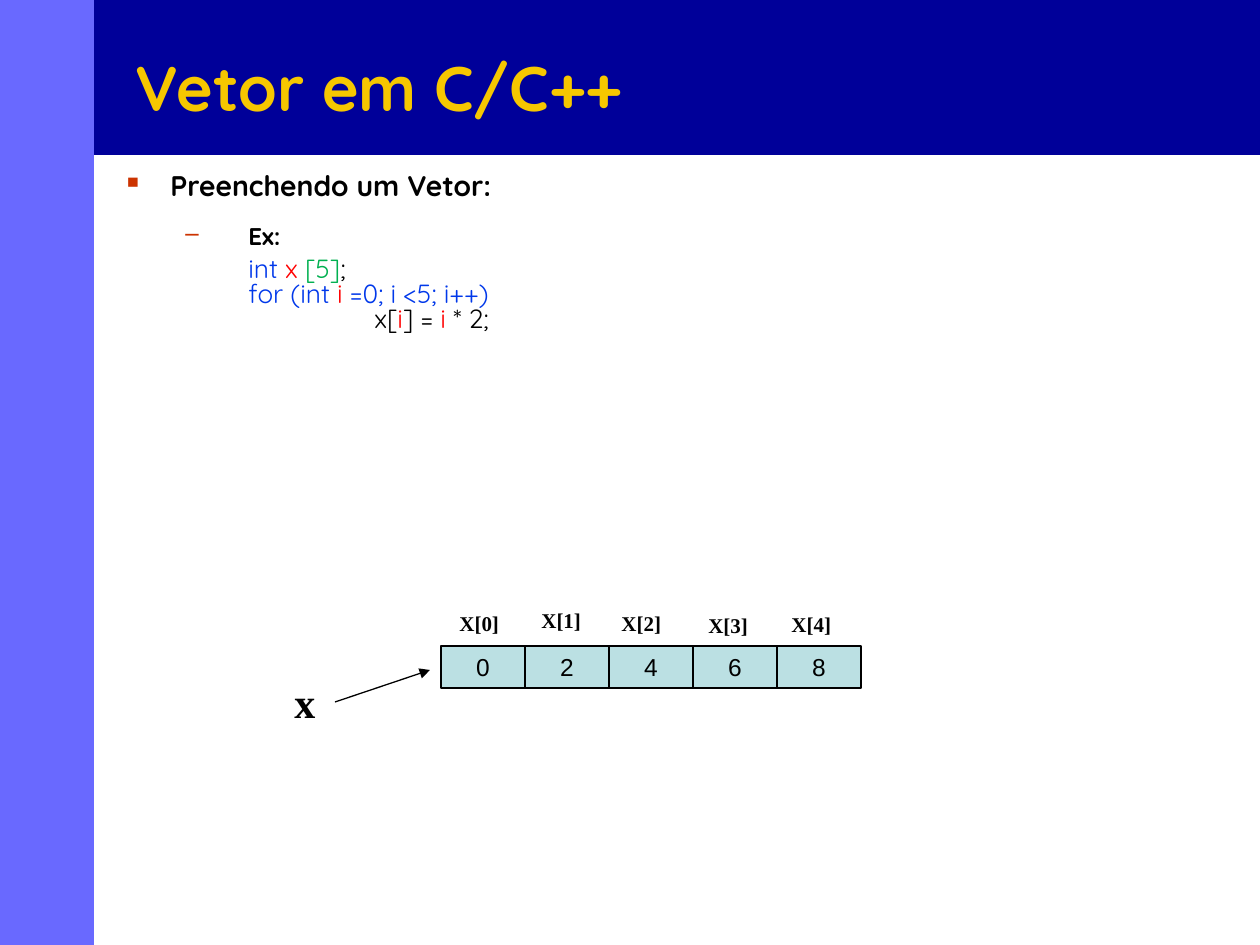
from lxml.etree import SubElement as Sub
from pptx import Presentation
from pptx.dml.color import RGBColor
from pptx.enum.shapes import MSO_CONNECTOR as Conn, MSO_SHAPE as Shape
from pptx.enum.text import MSO_ANCHOR as Anchor, PP_ALIGN as Align
from pptx.oxml.ns import qn
from pptx.util import Pt

SCALE = 914400 / 126
NAVY = RGBColor(0x00, 0x00, 0x99)
LILAC = RGBColor(0x69, 0x69, 0xFF)
GOLD = RGBColor(0xF6, 0xC7, 0x00)
RUST = RGBColor(0xCC, 0x33, 0x00)
BLUE = RGBColor(0x00, 0x38, 0xEA)
RED = RGBColor(0xFF, 0x00, 0x00)
GREEN = RGBColor(0x00, 0xB0, 0x50)
BLACK = RGBColor(0x00, 0x00, 0x00)
INK = RGBColor(0x02, 0x02, 0x02)
CYAN = RGBColor(0xBB, 0xE0, 0xE3)

TITLE = {"name": "Quicksand", "size": Pt(36), "bold": True}
HEAD = {"name": "Quicksand", "size": Pt(16.2), "bold": True}
SUBHEAD = {"name": "Quicksand", "size": Pt(13.8), "bold": True}
CODE = {"name": "Quicksand", "size": Pt(15), "bold": False}
VALUE = {"name": "Arial", "size": Pt(14), "bold": False}
LABEL = {"name": "Times New Roman", "size": Pt(12), "bold": True}
NAME = {"name": "Times New Roman", "size": Pt(24), "bold": True}

LINES = [
    (HEAD, 48, -48, 0, "▪", [("Preenchendo um Vetor:", BLACK)]),
    (SUBHEAD, 126, -63, 13.8, "–", [("Ex:", BLACK)]),
    (CODE, 126, 0, 5, None,
     [("int ", BLUE), ("x ", RED), ("[5]", GREEN), (";", BLACK)]),
    (CODE, 126, 0, 0, None,
     [("for (int ", BLUE), ("i", RED), (" =0; i <5; i++)", BLUE)]),
    (CODE, 252, 0, 0, None,
     [("x[", BLACK), ("i", RED), ("] =", BLACK), (" i ", RED), ("* 2;", BLACK)]),
]
CELLS = [("0", 6, -42), ("2", 4, -45), ("4", 0, -42), ("6", 3, -40), ("8", 2, -41)]


def px(*sizes):
    """Turn px lengths into EMU."""
    return [round(size * SCALE) for size in sizes]


def add_run(para, text, color, style):
    """Add one styled run to a paragraph."""
    run = para.add_run()
    run.text = text
    for key, value in style.items():
        setattr(run.font, key, value)
    run.font.color.rgb = color


def add_text(slide, box, text="", color=INK, style=LABEL, wrap=True, anchor=Anchor.TOP):
    """Add a text box and return its frame."""
    frame = slide.shapes.add_textbox(*px(*box)).text_frame
    frame.word_wrap = wrap
    frame.vertical_anchor = anchor
    if text:
        add_run(frame.paragraphs[0], text, color, style)
    return frame


def add_rect(slide, box, fill, line=None):
    """Add a flat rectangle, outlined if a line colour is given."""
    rect = slide.shapes.add_shape(Shape.RECTANGLE, *px(*box))
    rect.shadow.inherit = False
    rect.fill.solid()
    rect.fill.fore_color.rgb = fill
    if line is None:
        rect.line.fill.background()
    else:
        rect.line.color.rgb = line
        rect.line.width = Pt(0.75)
    return rect


def add_head(slide, left, top, width, height):
    """Draw the title band with its title."""
    add_rect(slide, (left, top, width, height), NAVY)
    add_text(slide, (left + 29, top + 38, width - 92, 97), "Vetor em C/C++",
             GOLD, TITLE, anchor=Anchor.MIDDLE)


def add_body(slide, left, top, width, height):
    """Write the bullets and the code lines."""
    frame = add_text(slide, (left, top, width, height))
    for row, (style, margin, indent, before, mark, runs) in enumerate(LINES):
        para = frame.add_paragraph() if row else frame.paragraphs[0]
        props = para._p.get_or_add_pPr()
        for key, size in (("marL", margin), ("indent", indent)):
            props.set(key, str(px(size)[0]))
        if mark:
            Sub(Sub(props, qn("a:buClr")), qn("a:srgbClr")).set("val", str(RUST))
            Sub(props, qn("a:buChar")).set("char", mark)
        para.alignment = Align.JUSTIFY
        para.line_spacing = 0.8
        if before:
            para.space_before = Pt(before)
        for text, color in runs:
            add_run(para, text, color, style)


def add_array(slide, left, top, width, height):
    """Draw the array cells, their labels and the pointer."""
    step = width // len(CELLS)
    for index, (value, shift, rise) in enumerate(CELLS):
        x = left + index * step
        frame = add_rect(slide, (x, top, step, height), CYAN, BLACK).text_frame
        frame.word_wrap = False
        frame.vertical_anchor = Anchor.MIDDLE
        frame.paragraphs[0].alignment = Align.CENTER
        add_run(frame.paragraphs[0], value, BLACK, VALUE)
        add_text(slide, (x + shift, top + rise, 67, 38), f"X[{index}]", wrap=False)
    add_text(slide, (left - 159, top + 24, 68, 63), "x", INK, NAME)
    ends = px(left - 106, top + 56, left - 11, top + 24)
    arrow = slide.shapes.add_connector(Conn.STRAIGHT, *ends)
    arrow.line.color.rgb = BLACK
    arrow.line.width = Pt(0.75)
    Sub(arrow.line._get_or_add_ln(), qn("a:tailEnd")).set("type", "triangle")
    Sub(arrow._element.spPr, qn("a:effectLst"))


def main():
    """Build and save the slide."""
    deck = Presentation()
    deck.slide_width, deck.slide_height = px(1260, 945)
    slide = deck.slides.add_slide(deck.slide_layouts[6])
    add_head(slide, 94, 0, 1166, 155)
    add_rect(slide, (0, 0, 94, 945), LILAC)
    add_body(slide, 110, 169, 1150, 204)
    add_array(slide, 441, 646, 420, 42)
    deck.save("out.pptx")


if __name__ == "__main__":
    main()
